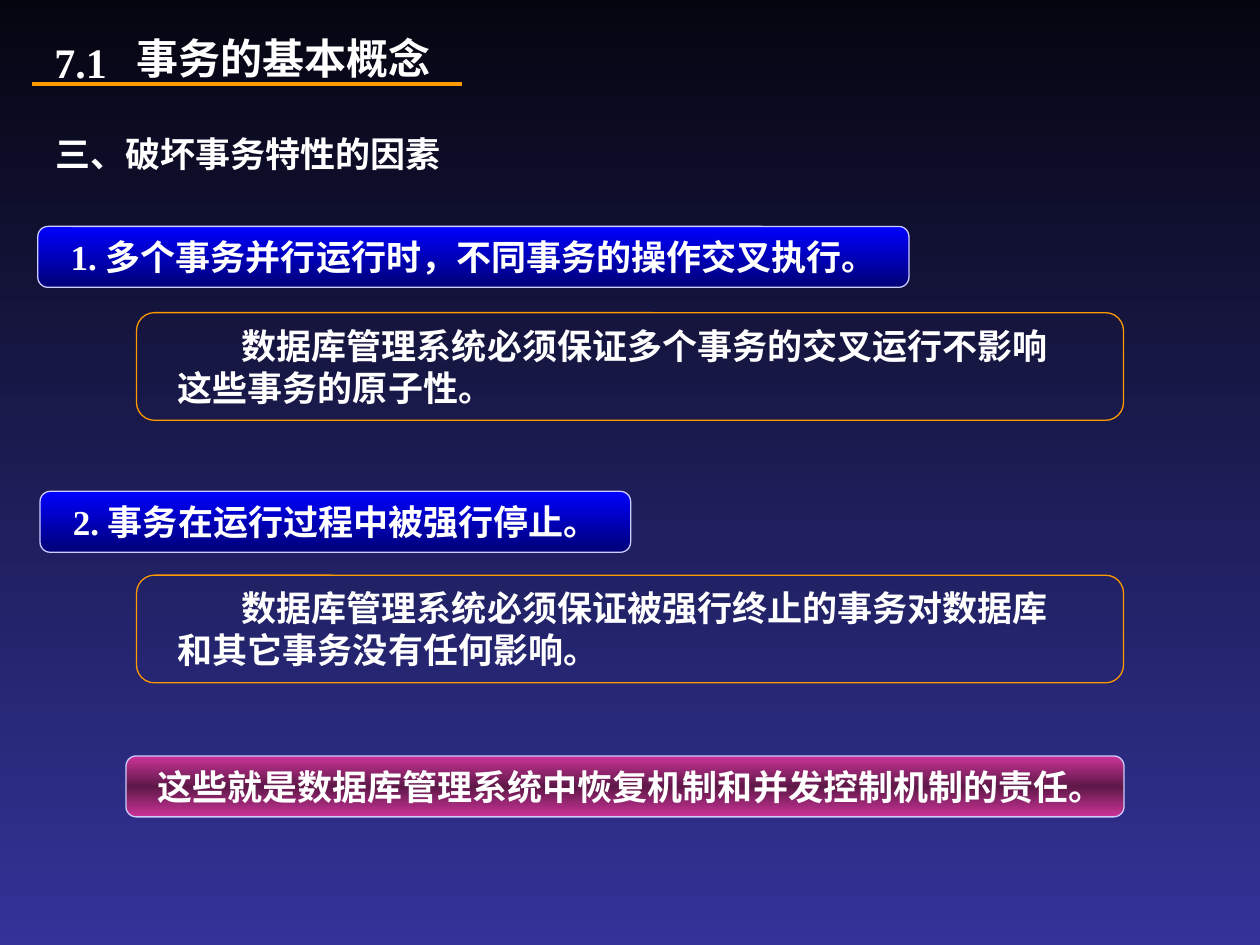
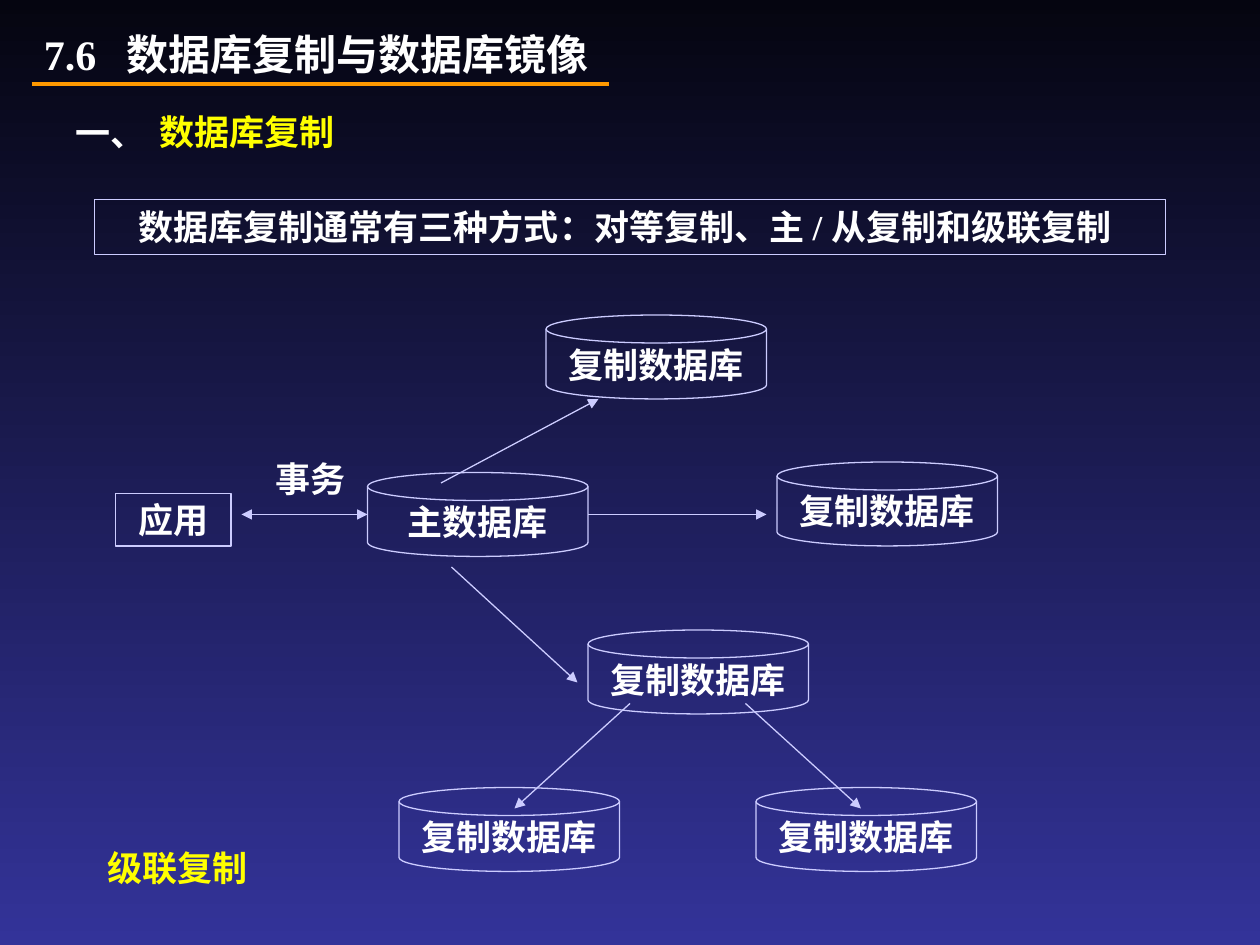
"""Build two slides on database transactions and replication."""
from copy import deepcopy

from pptx import Presentation
from pptx.dml.color import RGBColor
from pptx.enum.shapes import MSO_CONNECTOR, MSO_SHAPE
from pptx.enum.text import MSO_ANCHOR, PP_ALIGN
from pptx.oxml.ns import qn
from pptx.util import Pt

RECT = MSO_SHAPE.RECTANGLE
ROUND = MSO_SHAPE.ROUNDED_RECTANGLE
DISK = MSO_SHAPE.FLOWCHART_MAGNETIC_DISK
LINE = MSO_CONNECTOR.STRAIGHT
LEFT, CENTER = PP_ALIGN.LEFT, PP_ALIGN.CENTER
TOP, MIDDLE = MSO_ANCHOR.TOP, MSO_ANCHOR.MIDDLE

HUES = {
    "night": "050510", "dusk": "333399", "white": "FFFFFF",
    "yellow": "FFFF00", "orange": "FF9900", "pale": "CCCCFF",
    "blue": "0000FF", "navy": "000076", "pink": "CC3399", "plum": "5E1847",
}
LATIN, ASIAN = "Times New Roman", "Noto Sans CJK SC"


def rgb(name):
    return RGBColor.from_string(HUES[name])


def add(parent, tag, **attrs):
    node = parent.makeelement(qn(tag), attrs)
    parent.append(node)


def shade(fill, root, names):
    fill.gradient()
    fill.gradient_angle = 270
    stops = next(root.iter(qn("a:gsLst")))
    while len(stops) < len(names):
        stops.append(deepcopy(stops[-1]))
    for i, (stop, name) in enumerate(zip(fill.gradient_stops, names)):
        stop.color.rgb = rgb(name)
        stop.position = i / (len(names) - 1)


def write(shape, text, size=20, hue="white", align=LEFT, anchor=TOP,
          wrap=False, indents=(0,)):
    frame = shape.text_frame
    frame.word_wrap = wrap
    frame.vertical_anchor = anchor
    frame.text = text
    for para, indent in zip(frame.paragraphs, indents):
        para.alignment = align
        props = para._p.get_or_add_pPr()
        props.set("marL", str(Pt(indent)))
        props.set("indent", "0")
        for run in para.runs:
            font = run.font
            font.size, font.bold, font.name = Pt(size), True, LATIN
            font.color.rgb = rgb(hue)
            add(run._r.get_or_add_rPr(), "a:ea", typeface=ASIAN)


class Deck:
    def __init__(self):
        self.prs = Presentation()
        self.prs.slide_width, self.prs.slide_height = Pt(720), Pt(540)
        self.slide = None

    def page(self, rule):
        self.slide = self.prs.slides.add_slide(self.prs.slide_layouts[6])
        shade(self.slide.background.fill, self.slide.element, ("night", "dusk"))
        self.line((18, 48), (18 + rule, 48), hue="orange", width=2.25)

    def label(self, box, text, **style):
        shape = self.slide.shapes.add_textbox(*map(Pt, box))
        write(shape, text, **style)

    def title(self, box, text, **style):
        self.label(box, text, size=24, anchor=MIDDLE, **style)

    def shape(self, kind, box, text, fill=None, edge="pale", **style):
        shape = self.slide.shapes.add_shape(kind, *map(Pt, box))
        shape.shadow.inherit = False
        if fill:
            shade(shape.fill, shape.element, fill)
        else:
            shape.fill.background()
        shape.line.color.rgb = rgb(edge)
        shape.line.width = Pt(0.75)
        write(shape, text, **style)

    def panel(self, box, text, **style):
        self.shape(ROUND, box, text, wrap=True, **style)

    def disk(self, left, top, text="复制数据库"):
        self.shape(DISK, (left, top, 126, 48), text, align=CENTER, anchor=MIDDLE)

    def line(self, start, end, hue="pale", width=0.75, ends=()):
        line = self.slide.shapes.add_connector(LINE, *map(Pt, start + end))
        line.line.color.rgb = rgb(hue)
        line.line.width = Pt(width)
        for side in ends:
            add(line.line._get_or_add_ln(), f"a:{side}End", type="triangle")
        add(line.element.spPr, "a:effectLst")


def factors(deck):
    deck.page(rule=246)
    deck.title((24, 22.5, 66, 25), "7.1")
    deck.title((66, 18, 192, 30), "事务的基本概念", align=CENTER)
    deck.label((24.5, 72, 240, 31.5), "三、破坏事务特性的因素")
    causes = (
        ((21.6, 129.4, 497.8, 34.8), "1. 多个事务并行运行时，不同事务的操作交叉执行。",
         178.7, "数据库管理系统必须保证多个事务的交叉运行不影响\n这些事务的原子性。"),
        ((22.9, 280.8, 337.5, 34.8), "2. 事务在运行过程中被强行停止。",
         328.7, "数据库管理系统必须保证被强行终止的事务对数据库\n和其它事务没有任何影响。"),
    )
    for box, cause, top, duty in causes:
        deck.panel(box, cause, fill=("blue", "navy"), indents=(10,))
        deck.panel((78, top, 564, 61.5), duty, edge="orange", indents=(50, 13.5))
    deck.panel((72, 432, 570.3, 34.8), "这些就是数据库管理系统中恢复机制和并发控制机制的责任。",
               fill=("pink", "plum", "pink"), indents=(9,))


def copies(deck):
    deck.page(rule=330)
    deck.title((18, 18, 54, 25), "7.6")
    deck.title((65.3, 18, 290, 25), "数据库复制与数据库镜像")
    deck.label((36, 60, 60, 31.5), "一、")
    deck.label((78, 60, 126, 30), "数据库复制", hue="yellow", align=CENTER, anchor=MIDDLE)
    deck.shape(RECT, (54, 114, 612, 31.5),
               "数据库复制通常有三种方式：对等复制、主 / 从复制和级联复制",
               wrap=True, indents=(18,))
    deck.shape(RECT, (66, 282, 66, 30), "应用", align=CENTER, anchor=MIDDLE)
    deck.label((150.3, 258, 60, 31.5), "事务")
    deck.disk(210, 270, "主数据库")
    for left, top in ((312, 180), (444, 264), (336, 360), (228, 450), (432, 450)):
        deck.disk(left, top)
    deck.line((138, 294), (210, 294), ends=("head", "tail"))
    arrows = (
        ((252, 276), (342, 228)), ((336, 294), (438, 294)),
        ((258, 324), (330, 390)), ((426, 402), (492, 462)),
        ((360, 402), (294, 462)),
    )
    for start, end in arrows:
        deck.line(start, end, ends=("tail",))
    deck.label((54.3, 480, 100, 31.5), "级联复制", hue="yellow")


def main():
    deck = Deck()
    factors(deck)
    copies(deck)
    deck.prs.save("out.pptx")


if __name__ == "__main__":
    main()
